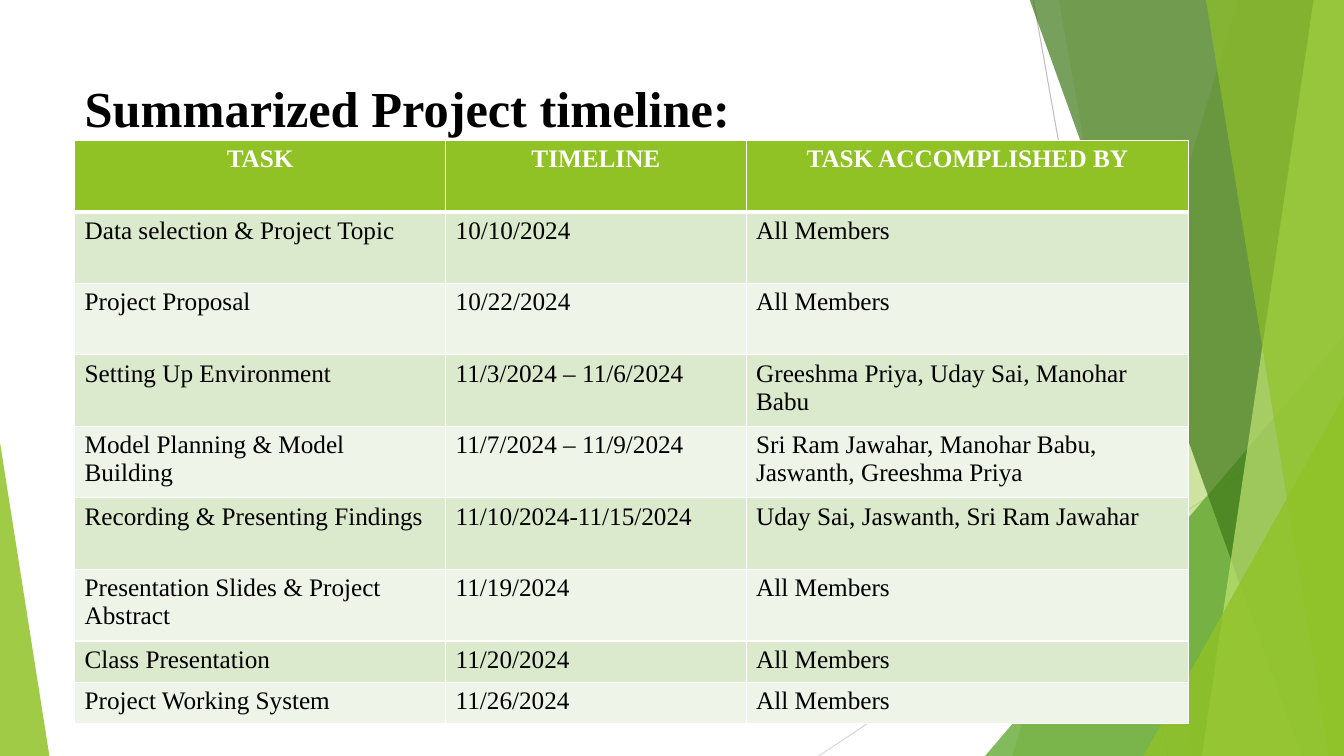
import pptx
import pptx.dml.color
import pptx.enum.shapes
import pptx.enum.text
import pptx.oxml.ns
import pptx.util
from lxml import etree

Inches, Pt = pptx.util.Inches, pptx.util.Pt
qn = pptx.oxml.ns.qn
FONT = "Times New Roman"
COLORS = {
    "lime": "90C226", "green": "54A021", "forest": "3F7819", "pale": "C0E474",
    "grey": "BFBFBF", "light_grey": "D9D9D9", "white": "FFFFFF", "black": "000000",
    "band_dark": "DBE9CD", "band_light": "EEF4E8",
}


def rgb(name):
    return pptx.dml.color.RGBColor.from_string(COLORS[name])


def add_run(p, text, size, color, bold):
    r = p.add_run()
    r.text = text
    r.font.name = FONT
    r.font.size = Pt(size)
    r.font.bold = bold
    r.font.color.rgb = rgb(color)


prs = pptx.Presentation()
prs.slide_width, prs.slide_height = Inches(13.33), Inches(7.5)
s = prs.slides.add_slide(prs.slide_layouts[6])

# Thin background lines
for x1, y1, x2, y2, color in [(10.25, 0, 11.58, 7.5, "grey"),
                              (13.33, 4.03, 8.12, 7.5, "light_grey")]:
    line = s.shapes.add_connector(pptx.enum.shapes.MSO_CONNECTOR.STRAIGHT,
                                  Inches(x1), Inches(y1), Inches(x2), Inches(y2))
    line.line.color.rgb = rgb(color)
    line.line.width = Pt(0.75)
    etree.SubElement(line._element.spPr, qn("a:effectLst"))

# Translucent facets: bands (top x, bottom x) reach the right edge,
# triangles give (left, top, width, height, apex)
facets = [
    ((12.28, 10.04), "lime", 30),
    ((10.5, 11.83), "lime", 20),
    ((9.77, 3.33, 3.56, 4.17, 1), "green", 72),
    ((10.21, 12.91), "forest", 70),
    ((13.03, 11.92), "pale", 70),
    ((11.96, 13.18), "lime", 65),
    ((11.34, 3.93, 1.99, 3.57, 1), "lime", 80),
    ((0, 4.39, 0.49, 3.11, 0), "lime", 85),
]
for geometry, color, opacity in facets:
    if len(geometry) == 2:
        top_x, bottom_x = geometry
        outline = s.shapes.build_freeform(Inches(top_x), Inches(-0.01))
        outline.add_line_segments([(Inches(x), Inches(y)) for x, y in
                                   [(13.33, -0.01), (13.33, 7.5), (bottom_x, 7.5)]])
        sp = outline.convert_to_shape()
    else:
        sp = s.shapes.add_shape(pptx.enum.shapes.MSO_SHAPE.ISOSCELES_TRIANGLE,
                                *[Inches(v) for v in geometry[:4]])
        sp.adjustments[0] = geometry[4]
    sp.shadow.inherit = False
    sp.line.fill.background()
    sp.fill.solid()
    sp.fill.fore_color.rgb = rgb(color)
    fill_color = sp._element.spPr.find(qn("a:solidFill"))[0]
    etree.SubElement(fill_color, qn("a:alpha"), val=str(opacity * 1000))

# Title
tf = s.shapes.add_textbox(Inches(0.74), Inches(0.67), Inches(9.4), Inches(1.44)).text_frame
tf.word_wrap = True
tf.vertical_anchor = pptx.enum.text.MSO_ANCHOR.TOP
tf.margin_top = Inches(0.1)
add_run(tf.paragraphs[0], "Summarized Project timeline:", 36, "black", True)

# Timeline table
rows = [
    ("TASK", "TIMELINE", "TASK ACCOMPLISHED BY"),
    ("Data selection & Project Topic", "10/10/2024", "All Members"),
    ("Project Proposal", "10/22/2024", "All Members"),
    ("Setting Up Environment", "11/3/2024 – 11/6/2024",
     "Greeshma Priya, Uday Sai, Manohar Babu"),
    ("Model Planning & Model Building", "11/7/2024 – 11/9/2024",
     "Sri Ram Jawahar, Manohar Babu, Jaswanth, Greeshma Priya"),
    ("Recording & Presenting Findings", "11/10/2024-11/15/2024",
     "Uday Sai, Jaswanth, Sri Ram Jawahar"),
    ("Presentation Slides & Project Abstract", "11/19/2024", "All Members"),
    ("Class Presentation", "11/20/2024", "All Members"),
    ("Project Working System", "11/26/2024", "All Members"),
]
table = s.shapes.add_table(len(rows), 3, Inches(0.74), Inches(1.39),
                           Inches(11.05), Inches(5.77)).table
for column, width in zip(table.columns, [3.68, 2.98, 4.39]):
    column.width = Inches(width)

for i, row in enumerate(rows):
    header = i == 0
    table.rows[i].height = Inches(0.71 if i < 7 else 0.41)
    for j, text in enumerate(row):
        cell = table.cell(i, j)
        p = cell.text_frame.paragraphs[0]
        if header:
            p.alignment = pptx.enum.text.PP_ALIGN.CENTER
        add_run(p, text, 18, "white" if header else "black", header)

        # White borders, thicker between header and body
        tcPr = cell._tc.get_or_add_tcPr()
        for side in ("L", "R", "T", "B"):
            thick = (i, side) in [(0, "B"), (1, "T")]
            ln = etree.SubElement(tcPr, qn("a:ln" + side), w=str(Pt(3 if thick else 1)))
            fill = etree.SubElement(ln, qn("a:solidFill"))
            etree.SubElement(fill, qn("a:srgbClr"), val=COLORS["white"])
        cell.fill.solid()
        cell.fill.fore_color.rgb = rgb(
            "lime" if header else "band_dark" if i % 2 else "band_light")

prs.save("out.pptx")
